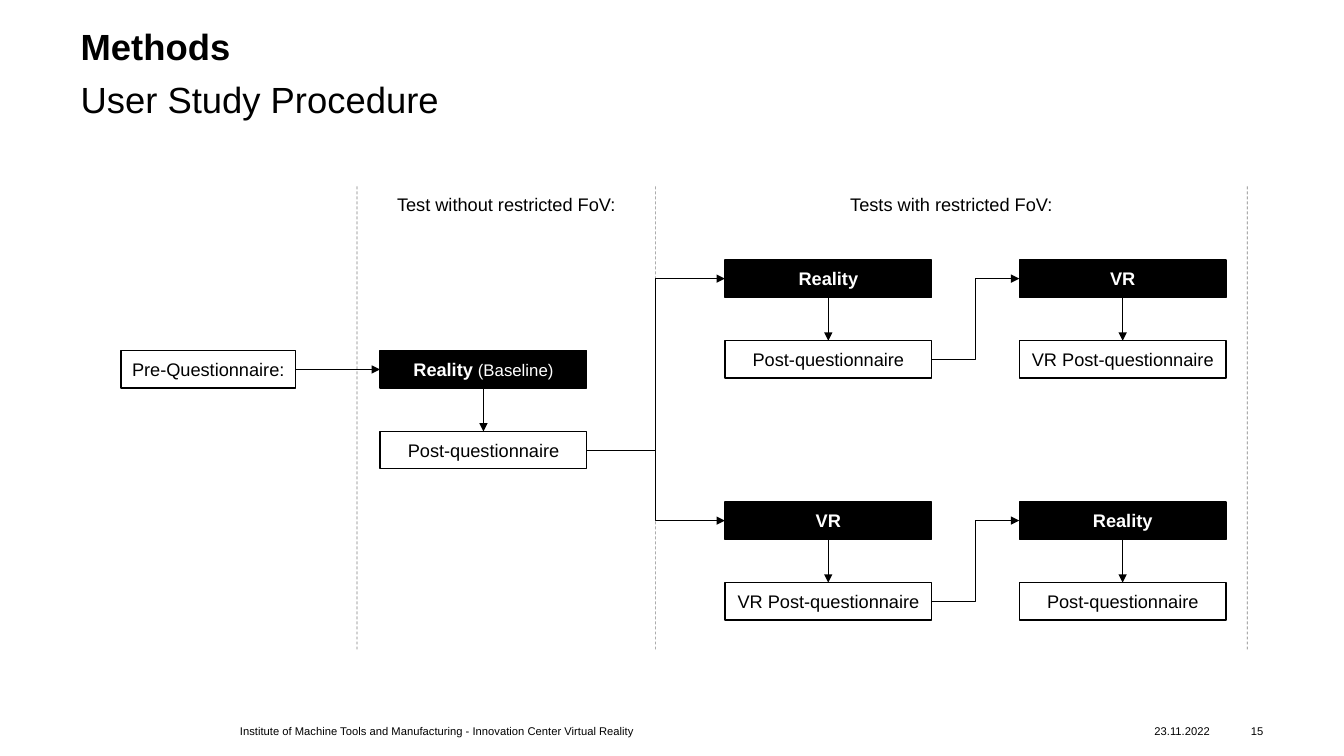
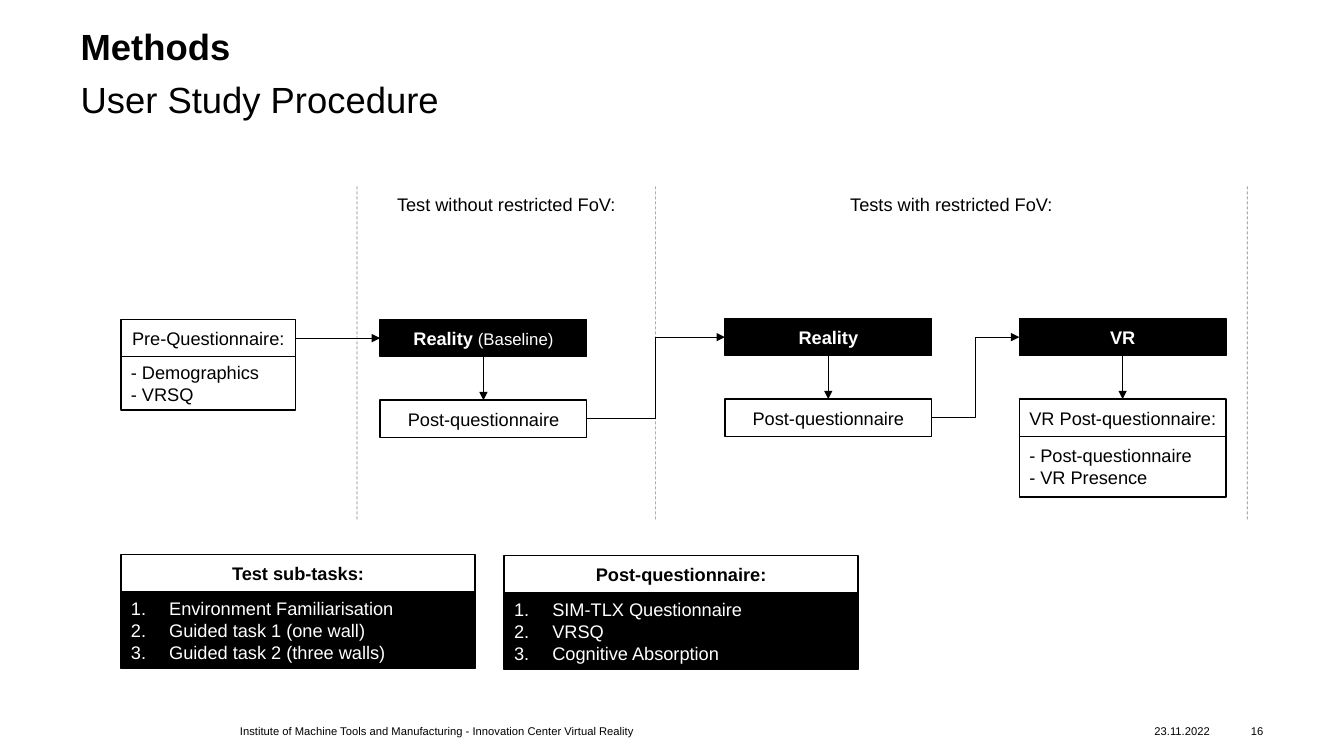
from lxml import etree
from pptx import Presentation
from pptx.dml.color import RGBColor
from pptx.enum import dml, shapes, text
from pptx.oxml import ns
from pptx.util import Inches, Pt

BLACK = RGBColor(0, 0, 0)
WHITE = RGBColor(255, 255, 255)
FONT = "Arial"
LEFT, MID, RIGHT = text.PP_ALIGN.LEFT, text.PP_ALIGN.CENTER, text.PP_ALIGN.RIGHT
TOP, WEST, BOTTOM, EAST = range(4)
ROW, STEP = 0.37, 0.8
PRE_X, PRE_W = 1.2, 1.73
STAGE_X, STAGE_W = (3.77, 7.19, 10.11), 2.05
ZONES = (3.54, 6.5, 12.37)
HEADS = ("Test without restricted FoV:", "Tests with restricted FoV:")
NAME = "Institute of Machine Tools and Manufacturing - Innovation Center Virtual Reality"


def style(par, size, color=BLACK, bold=False, align=LEFT):
    par.alignment = align
    for run in par.runs:
        font = run.font
        font.name, font.size, font.bold = FONT, Pt(size), bold
        font.color.rgb = color


def pad(frame, side=0, edge=0):
    frame.margin_left = frame.margin_right = Inches(side)
    frame.margin_top = frame.margin_bottom = Inches(edge)
    frame.word_wrap = True
    frame.auto_size = text.MSO_AUTO_SIZE.NONE


def box(slide, x, y, w, h, words, fill=WHITE, edge=BLACK, bold=False, align=MID):
    rect = slide.shapes.add_shape(
        shapes.MSO_SHAPE.RECTANGLE, Inches(x), Inches(y), Inches(w), Inches(h))
    rect.shadow.inherit = False
    rect.fill.solid()
    rect.fill.fore_color.rgb = fill
    rect.line.color.rgb = edge
    rect.line.width = Pt(1)
    frame = rect.text_frame
    pad(frame, 0.05 if align == MID else 0.1, 0.05)
    frame.vertical_anchor = text.MSO_ANCHOR.MIDDLE
    frame.text = words
    for par in frame.paragraphs:
        style(par, 13, BLACK if fill == WHITE else WHITE, bold, align)
    return rect


def line(slide, kind=shapes.MSO_CONNECTOR.STRAIGHT, ends=(0, 0, 0, 0)):
    link = slide.shapes.add_connector(kind, *map(Inches, ends))
    link.line.color.rgb = BLACK
    link.line.width = Pt(0.5)
    etree.SubElement(link._element.spPr, ns.qn("a:effectLst"))
    return link


def arrow(slide, start, out, end, into, bent=False):
    kind = shapes.MSO_CONNECTOR.ELBOW if bent else shapes.MSO_CONNECTOR.STRAIGHT
    link = line(slide, kind)
    link.begin_connect(start, out)
    link.end_connect(end, into)
    tail = etree.SubElement(link.line._get_or_add_ln(), ns.qn("a:tailEnd"))
    tail.set("type", "triangle")


def fence(slide, x, top, low):
    rule = line(slide, ends=(x, top, x, low))
    rule.line.dash_style = dml.MSO_LINE.DASH
    tint = rule._element.spPr.find(".//" + ns.qn("a:srgbClr"))
    etree.SubElement(tint, ns.qn("a:alpha")).set("val", "50000")


def zones(slide, low):
    for head, x, end in zip(HEADS, ZONES, ZONES[1:]):
        box(slide, x, 1.84, end - x, ROW, head, edge=WHITE)
    for x in ZONES:
        fence(slide, x, 1.85, low)


def stage(slide, x, y, head, post):
    test = box(slide, x, y, STAGE_W, ROW, head, BLACK, bold=True)
    form = box(slide, x, y + STEP, STAGE_W, ROW, post)
    arrow(slide, test, BOTTOM, form, TOP)
    return test, form


def opening(slide, y):
    pre = box(slide, PRE_X, y, PRE_W, ROW, "Pre-Questionnaire:")
    base, form = stage(slide, STAGE_X[0], y, "Reality ", "Post-questionnaire")
    par = base.text_frame.paragraphs[0]
    run = par.add_run()
    run.text = "(Baseline)"
    style(par, 13, WHITE, True, MID)
    run.font.size, run.font.bold = Pt(12), False
    arrow(slide, pre, EAST, base, WEST)
    return form


def branch(slide, y, form, pairs):
    for x, (head, post) in zip(STAGE_X[1:], pairs):
        test, after = stage(slide, x, y, head, post)
        arrow(slide, form, EAST, test, WEST, True)
        form = after


def card(slide, x, y, head, items):
    width = 3.51
    body = box(slide, x, y + ROW, width, 0.76, "\n".join(items), BLACK, align=LEFT)
    for par in body.text_frame.paragraphs:
        props = par._p.get_or_add_pPr()
        props.set("marL", str(Inches(0.38)))
        props.set("indent", str(-Inches(0.38)))
        mark = etree.SubElement(props, ns.qn("a:buAutoNum"))
        mark.set("type", "arabicPeriod")
    box(slide, x, y, width, ROW, head, bold=True)


def note(slide, x, w, words, align=LEFT):
    area = slide.shapes.add_textbox(Inches(x), Inches(7.13), Inches(w), Inches(0.24))
    frame = area.text_frame
    pad(frame)
    frame.vertical_anchor = text.MSO_ANCHOR.MIDDLE
    frame.text = words
    style(frame.paragraphs[0], 8, align=align)


def page(deck, num):
    slide = deck.slides.add_slide(deck.slide_layouts[5])
    title = slide.shapes.title
    title.left, title.top = Inches(0.8), Inches(0.29)
    title.width, title.height = Inches(11.73), Inches(0.98)
    frame = title.text_frame
    pad(frame)
    frame.vertical_anchor = text.MSO_ANCHOR.TOP
    frame.text = "Methods\nUser Study Procedure"
    for par, bold in zip(frame.paragraphs, (True, False)):
        par.line_spacing = 0.9
        par.space_before = Pt(0 if bold else 10)
        style(par, 26, bold=bold)
    note(slide, 2.38, 5.91, NAME)
    note(slide, 11.45, 0.67, "23.11.2022")
    note(slide, 12.18, 0.35, str(num), RIGHT)
    return slide


def orders(deck):
    slide = page(deck, 15)
    zones(slide, 6.45)
    form = opening(slide, 3.48)
    real = ("Reality", "Post-questionnaire")
    virtual = ("VR", "VR Post-questionnaire")
    branch(slide, 2.58, form, (real, virtual))
    branch(slide, 4.98, form, (virtual, real))


def details(deck):
    slide = page(deck, 16)
    zones(slide, 5.17)
    box(slide, PRE_X, 3.53, PRE_W, 0.54, "- Demographics\n- VRSQ", align=LEFT)
    box(slide, STAGE_X[2], 4.32, STAGE_W, 0.61,
        "- Post-questionnaire\n- VR Presence", align=LEFT)
    form = opening(slide, 3.17)
    branch(slide, 3.16, form, (("Reality", "Post-questionnaire"),
                               ("VR", "VR Post-questionnaire:")))
    card(slide, PRE_X, 5.5, "Test sub-tasks:",
         ("Environment Familiarisation", "Guided task 1 (one wall)",
          "Guided task 2 (three walls)"))
    card(slide, 5, 5.51, "Post-questionnaire:",
         ("SIM-TLX Questionnaire", "VRSQ", "Cognitive Absorption"))


def main():
    deck = Presentation()
    deck.slide_width, deck.slide_height = Inches(13.33), Inches(7.5)
    orders(deck)
    details(deck)
    deck.save("out.pptx")


if __name__ == "__main__":
    main()
